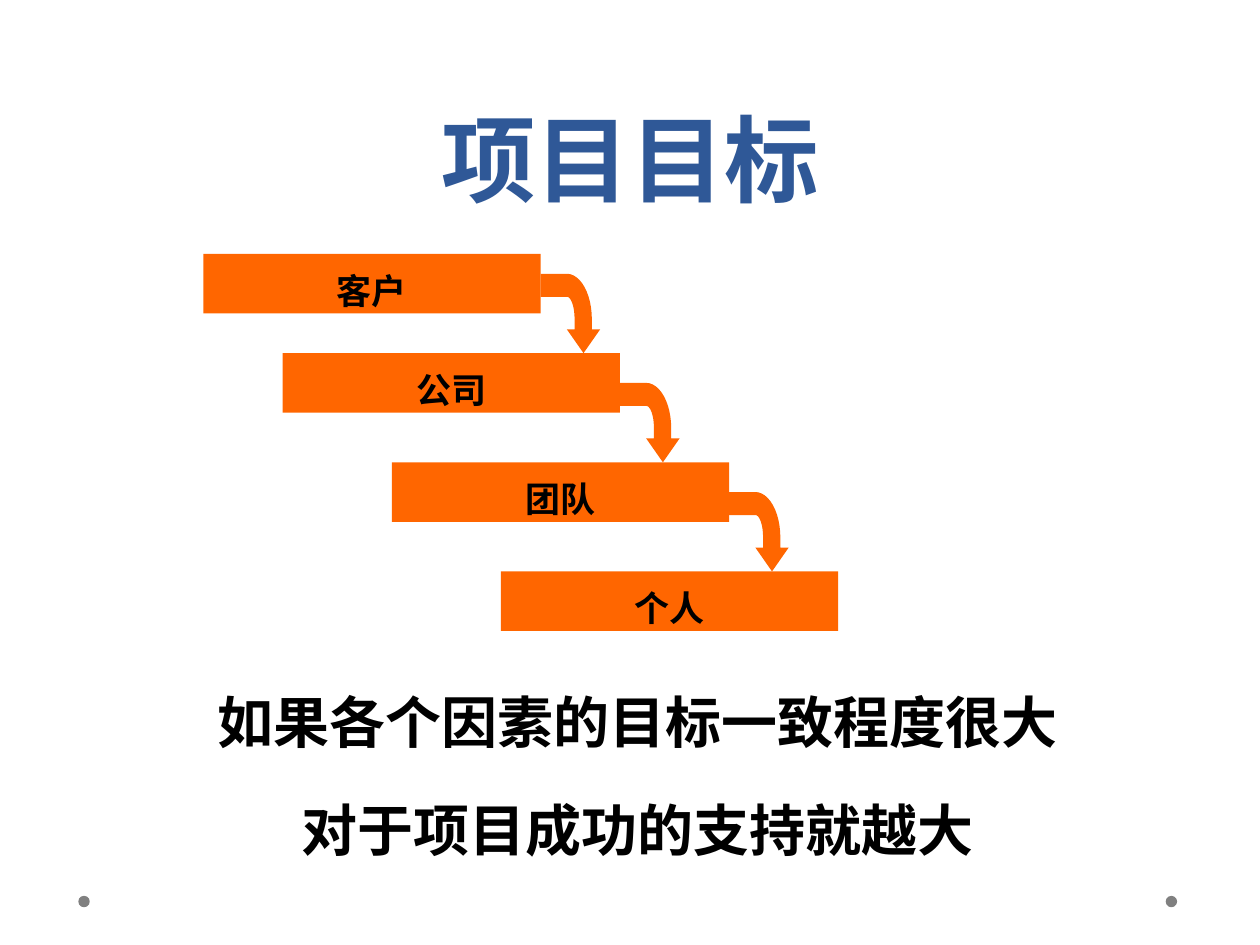
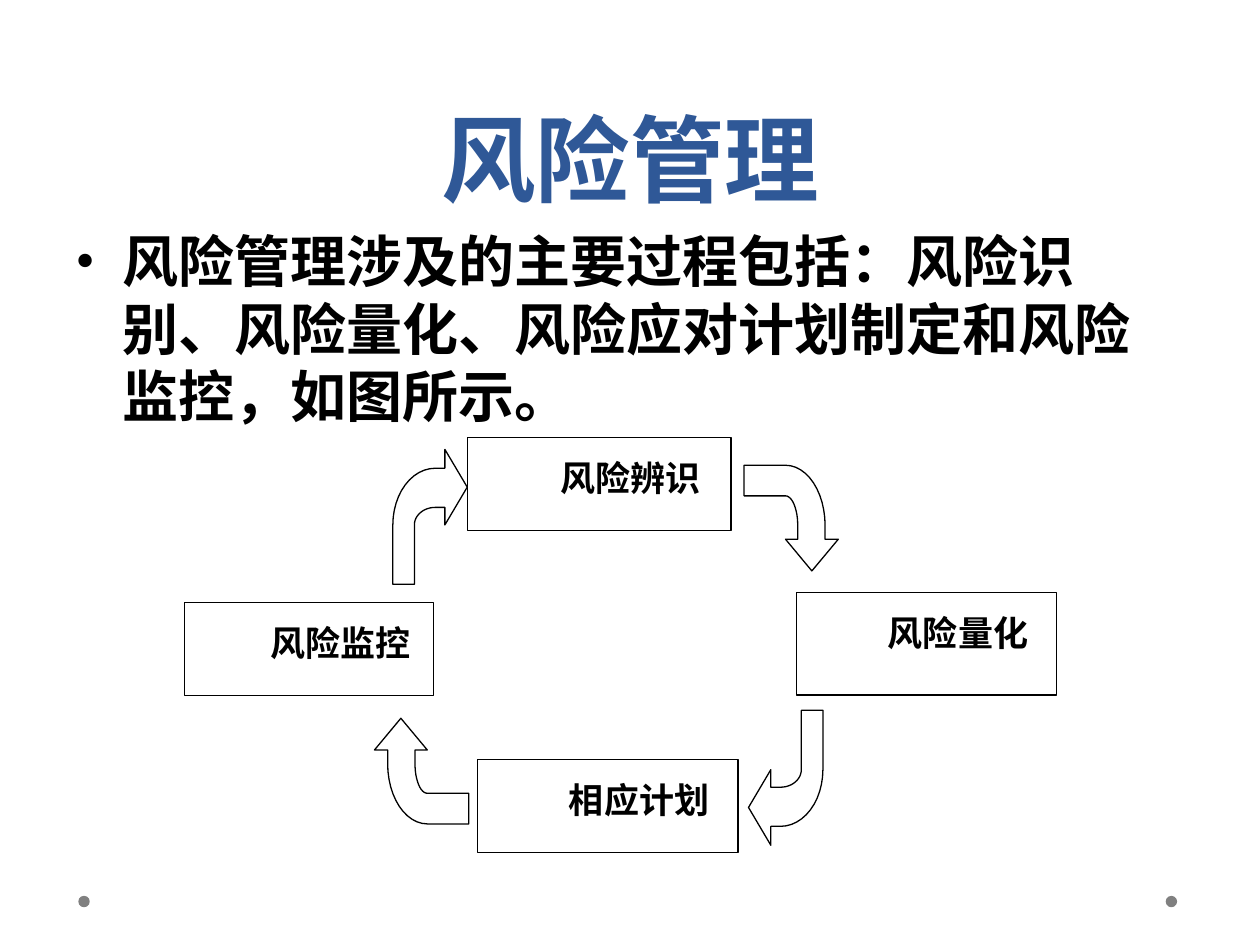
from math import cos, pi, sin
from lxml.etree import SubElement
from pptx import Presentation
from pptx.dml.color import RGBColor
from pptx.enum.shapes import MSO_SHAPE as Kind
from pptx.enum.text import MSO_ANCHOR as Anchor, PP_ALIGN as Align
from pptx.oxml.ns import qn
from pptx.util import Cm, Pt

BLUE, ORANGE, GREY = "2F5897", "FF6600", "808080"
BLACK, WHITE = "000000", "FFFFFF"
HEAD, BODY, CALM = "Lato", "Times New Roman", "Calibri"
DOWN, LEFT, UP, RIGHT = range(4)


def color(code):
    return RGBColor.from_string(code)


def paint(shape, fill, line=None):
    shape.shadow.inherit = False
    shape.fill.solid()
    shape.fill.fore_color.rgb = color(fill)
    if line:
        shape.line.color.rgb = color(line)
        shape.line.width = Pt(0.75)
    else:
        shape.line.fill.background()


def write(shape, lines, face, size, tint=BLACK, align=Align.CENTER,
          space=1.3, before=0, wrap=True, anchor=Anchor.TOP):
    """Fill a shape with bold paragraphs and return them."""
    frame = shape.text_frame
    frame.word_wrap = wrap
    frame.vertical_anchor = anchor
    frame.text = "\n".join(lines)
    for para in frame.paragraphs:
        para.alignment = align
        para.line_spacing = space
        para.space_before = Pt(before)
        font = para.font
        font.name, font.size, font.bold = face, Pt(size), True
        font.color.rgb = color(tint)
    return frame.paragraphs


def indent(para, left, first=0):
    props = para._p.get_or_add_pPr()
    props.set("marL", str(Cm(left)))
    props.set("indent", str(Cm(first)))
    return props


def bullet(para):
    """Add a hanging bullet and keep punctuation inside the margin."""
    props = indent(para, 0.95, -0.95)
    props.set("hangingPunct", "0")
    tint = SubElement(props, qn("a:buClr"))
    SubElement(tint, qn("a:srgbClr"), val=BLACK)
    face = SubElement(props, qn("a:buFont"), typeface=BODY)
    mark = SubElement(props, qn("a:buChar"), char="•")
    last = props.find(qn("a:defRPr"))
    for part in (tint, face, mark):
        last.addprevious(part)


def add_text(slide, x, y, w, h):
    return slide.shapes.add_textbox(Cm(x), Cm(y), Cm(w), Cm(h))


def add_shape(slide, kind, x, y, w, h, fill, line=None):
    shape = slide.shapes.add_shape(kind, Cm(x), Cm(y), Cm(w), Cm(h))
    paint(shape, fill, line)
    return shape


def arc(wide, high, steps=12):
    """Quarter ellipse inside the unit square, from its right end to its top."""
    turns = [pi / 2 * i / steps for i in range(steps + 1)]
    return [(0.44 + wide * cos(t), 0.57 - high * sin(t)) for t in turns]


BEND = [(0.72, 1), (1, 0.7), (0.86, 0.7), *arc(0.42, 0.57), (0, 0), (0, 0.29),
        *reversed(arc(0.13, 0.28)), (0.57, 0.7), (0.44, 0.7)]


def add_bend(slide, x, y, w, h, way, fill, line=None):
    """Draw a bent arrow in a box, its head pointing the given way."""
    points = BEND
    for _ in range(way):
        points = [(1 - b, a) for a, b in points]
    first, *rest = [(Cm(x + a * w), Cm(y + b * h)) for a, b in points]
    path = slide.shapes.build_freeform(*first)
    path.add_line_segments(rest, close=True)
    paint(path.convert_to_shape(), fill, line)


def add_slide(deck, title):
    slide = deck.slides.add_slide(deck.slide_layouts[6])
    for x in (23.5, 1.58):
        add_shape(slide, Kind.OVAL, x, 18.06, 0.23, 0.23, GREY)
    write(add_text(slide, 1.28, 0, 22.86, 4.45), [title], HEAD, 54, BLUE,
          space=Pt(58), anchor=Anchor.BOTTOM)
    return slide


def add_goals(deck):
    slide = add_slide(deck, "项目目标")
    wide, high = 6.8, 1.2
    steps = [("客户", 4.1, 5.12), ("公司", 5.7, 7.12),
             ("团队", 7.9, 9.32), ("个人", 10.1, 11.52)]
    for name, x, y in steps:
        box = add_shape(slide, Kind.RECTANGLE, x, y, wide, high, ORANGE)
        write(box, [name], BODY, 20, before=7.5, wrap=False,
              anchor=Anchor.MIDDLE)
    for (_, x, _), (_, _, top) in zip(steps, steps[1:]):
        add_bend(slide, x + wide, top - 1.6, 1.2, 1.6, DOWN, ORANGE)
    write(add_text(slide, 4.12, 13.32, 17.48, 4.19),
          ["如果各个因素的目标一致程度很大", "对于项目成功的支持就越大"],
          BODY, 32, before=12, wrap=False)


def add_risks(deck):
    slide = add_slide(deck, "风险管理")
    note = "风险管理涉及的主要过程包括：风险识别、风险量化、风险应对计划制定和风险监控，如图所示。"
    paras = write(add_text(slide, 1.27, 4.45, 22.86, 12.57), [note], HEAD, 32,
                  align=Align.LEFT, space=1.0, before=8)
    bullet(paras[0])
    for name, *place in [("风险辨识", 9.43, 8.82, 5.31, 1.88),
                         ("相应计划", 9.62, 15.31, 5.26, 1.88),
                         ("风险监控", 3.72, 12.15, 5.02, 1.87),
                         ("风险量化", 16.06, 11.95, 5.24, 2.06)]:
        box = add_shape(slide, Kind.RECTANGLE, *place, WHITE, BLACK)
        paras = write(box, [name], CALM, 20, before=7.5)
        indent(paras[0], 1.27)
    for place in [(7.92, 9.06, 1.5, 2.72, RIGHT), (15, 9.38, 1.9, 2.13, DOWN),
                  (15.09, 14.32, 1.5, 2.72, LEFT), (7.55, 14.48, 1.9, 2.13, UP)]:
        add_bend(slide, *place, WHITE, BLACK)


def main():
    deck = Presentation()
    deck.slide_width, deck.slide_height = Cm(25.4), Cm(19.05)
    add_goals(deck)
    add_risks(deck)
    deck.save("out.pptx")


if __name__ == "__main__":
    main()
